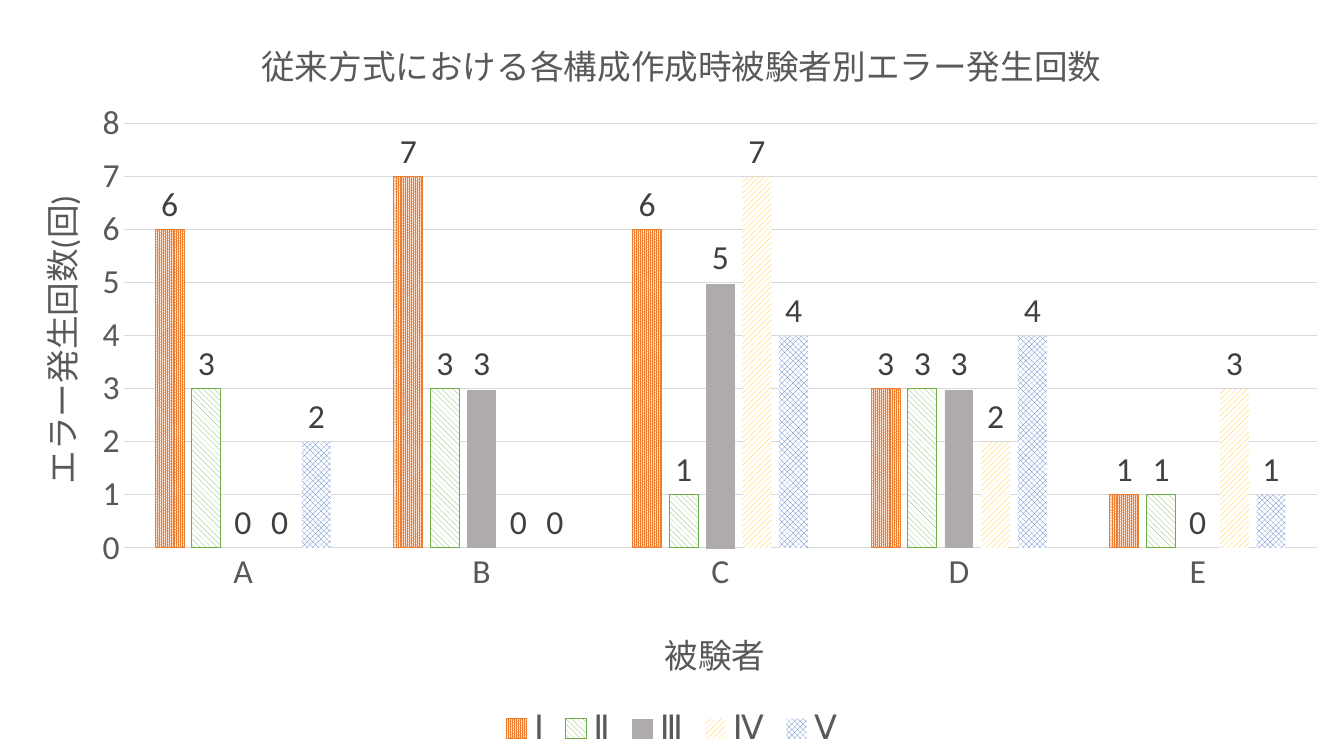
from dataclasses import dataclass

from lxml import etree
from pptx import Presentation
from pptx.chart.data import CategoryChartData
from pptx.dml.color import RGBColor
from pptx.enum.chart import (XL_CHART_TYPE, XL_LABEL_POSITION,
                             XL_LEGEND_POSITION, XL_TICK_MARK)
from pptx.enum.dml import MSO_PATTERN
from pptx.oxml.ns import qn
from pptx.util import Pt

PX = 9525  # EMU per pixel
PAGE = (0, 0, 1280, 720)


@dataclass(frozen=True)
class Theme:
    font: str = "Calibri"
    size: int = 24
    text: str = "595959"
    label: str = "404040"
    grid: str = "D9D9D9"
    paper: str = "FFFFFF"
    hairline: float = 0.75


THEME = Theme()
SUBJECTS = ["A", "B", "C", "D", "E"]
# name, error counts, pattern, colour, outlined
SERIES = [
    ("Ⅰ", (6, 7, 6, 3, 1), MSO_PATTERN.PERCENT_90, "ED7D31", True),
    ("Ⅱ", (3, 3, 1, 3, 1), MSO_PATTERN.WIDE_DOWNWARD_DIAGONAL, "70AD47", True),
    ("Ⅲ", (0, 3, 5, 3, 0), MSO_PATTERN.DARK_HORIZONTAL, "AFABAB", False),
    ("Ⅳ", (0, 0, 7, 2, 3), MSO_PATTERN.WIDE_UPWARD_DIAGONAL, "FFC000", False),
    ("Ⅴ", (2, 0, 4, 4, 1), MSO_PATTERN.OUTLINED_DIAMOND, "4472C4", False),
]


def style_font(font, colour=THEME.text):
    font.name = THEME.font
    font.size = Pt(THEME.size)
    font.bold = False
    font.color.rgb = RGBColor.from_string(colour)


def style_line(line, colour):
    line.color.rgb = RGBColor.from_string(colour)
    line.width = Pt(THEME.hairline)


def set_layout(element, inner=False, **fractions):
    """Place a chart part by fractions of the chart's width and height."""
    layout = element.find(qn("c:layout"))
    if layout is None:
        layout = etree.Element(qn("c:layout"))
        element.insert(0, layout)
    manual = etree.SubElement(layout, qn("c:manualLayout"))
    settings = {"layoutTarget": "inner"} if inner else {}
    settings.update(xMode="edge", yMode="edge", **fractions)
    for name, value in settings.items():
        etree.SubElement(manual, qn(f"c:{name}")).set("val", str(value))


def add_title(title, text, x, y):
    set_layout(title._element, x=x, y=y)
    title.text_frame.text = text
    style_font(title.text_frame.paragraphs[0].runs[0].font)


def style_axes(chart):
    subjects, counts = chart.category_axis, chart.value_axis
    for axis in (subjects, counts):
        axis.major_tick_mark = axis.minor_tick_mark = XL_TICK_MARK.NONE
        style_font(axis.tick_labels.font)
    style_line(subjects.format.line, THEME.grid)
    counts.format.line.fill.background()
    counts.minimum_scale, counts.maximum_scale, counts.major_unit = 0, 8, 1
    counts.has_major_gridlines = True
    style_line(counts.major_gridlines.format.line, THEME.grid)
    add_title(subjects.axis_title, "被験者", 0.49, 0.82)
    add_title(counts.axis_title, "エラー発生回数(回)", 0.02, 0.25)


def style_series(series, pattern, colour, outlined):
    fill = series.format.fill
    fill.patterned()
    fill.pattern = pattern
    fill.fore_color.rgb = RGBColor.from_string(colour)
    fill.back_color.rgb = RGBColor.from_string(THEME.paper)
    series.invert_if_negative = False
    if outlined:
        style_line(series.format.line, colour)
    else:
        series.format.line.fill.background()
    labels = series.data_labels
    labels.show_value = True
    labels.position = XL_LABEL_POSITION.OUTSIDE_END
    style_font(labels.font, THEME.label)


def add_error_chart(page, box):
    data = CategoryChartData()
    data.categories = SUBJECTS
    for name, counts, *_ in SERIES:
        data.add_series(name, counts)
    frame = page.shapes.add_chart(XL_CHART_TYPE.COLUMN_CLUSTERED,
                                  *(length * PX for length in box), data)
    chart = frame.chart
    style_font(chart.font)

    # Title, axes and plot area
    chart.has_title = True
    add_title(chart.chart_title,
              "従来方式における各構成作成時被験者別エラー発生回数", 0.19, 0.04)
    style_axes(chart)
    plot_area = chart._chartSpace.chart.plotArea
    set_layout(plot_area, inner=True, x=0.092, y=0.164, w=0.888, h=0.561)

    # Columns
    plot = chart.plots[0]
    plot.gap_width, plot.overlap = 219, -27
    plot.vary_by_categories = False
    for series, (_, _, *look) in zip(plot.series, SERIES):
        style_series(series, *look)

    # Legend
    chart.has_legend = True
    chart.legend.position = XL_LEGEND_POSITION.BOTTOM
    chart.legend.include_in_layout = False
    style_font(chart.legend.font)


def main():
    deck = Presentation()
    deck.slide_width, deck.slide_height = PAGE[2] * PX, PAGE[3] * PX
    page = deck.slides.add_slide(deck.slide_layouts[6])
    add_error_chart(page, PAGE)
    deck.save("out.pptx")


if __name__ == "__main__":
    main()
